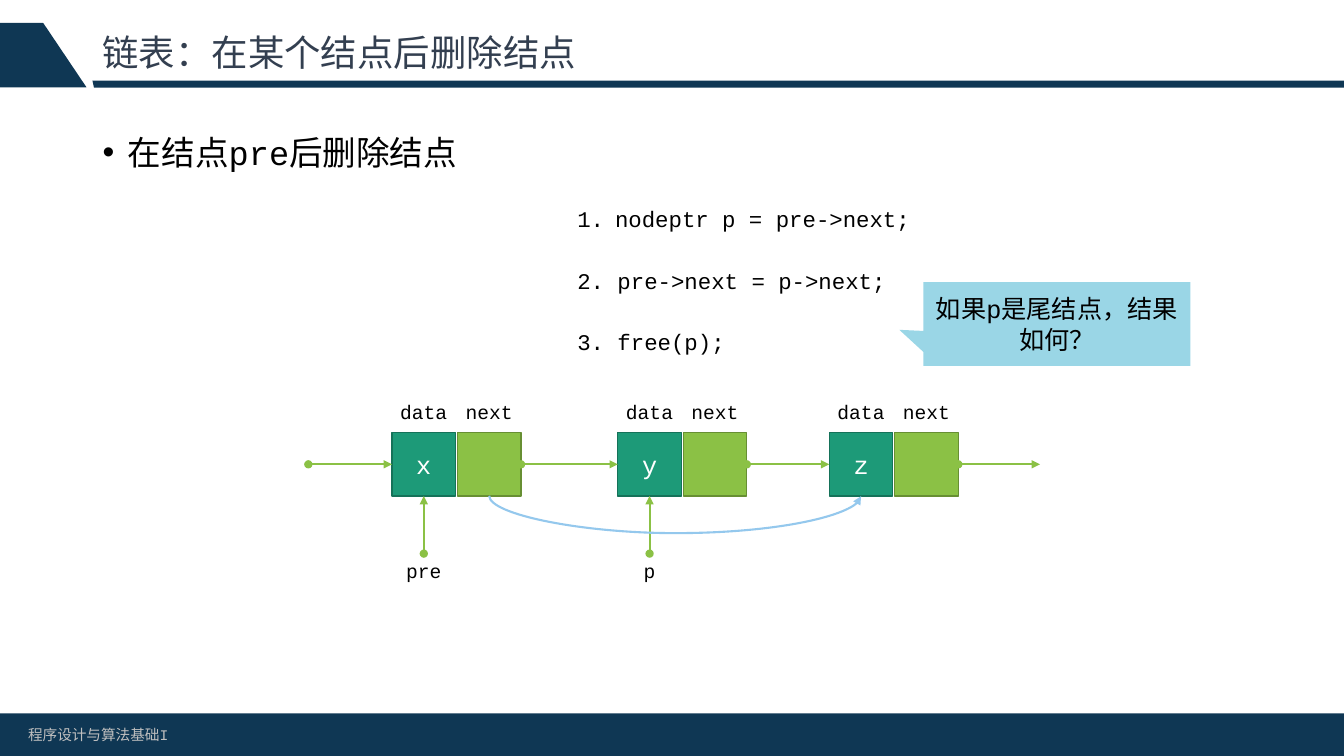
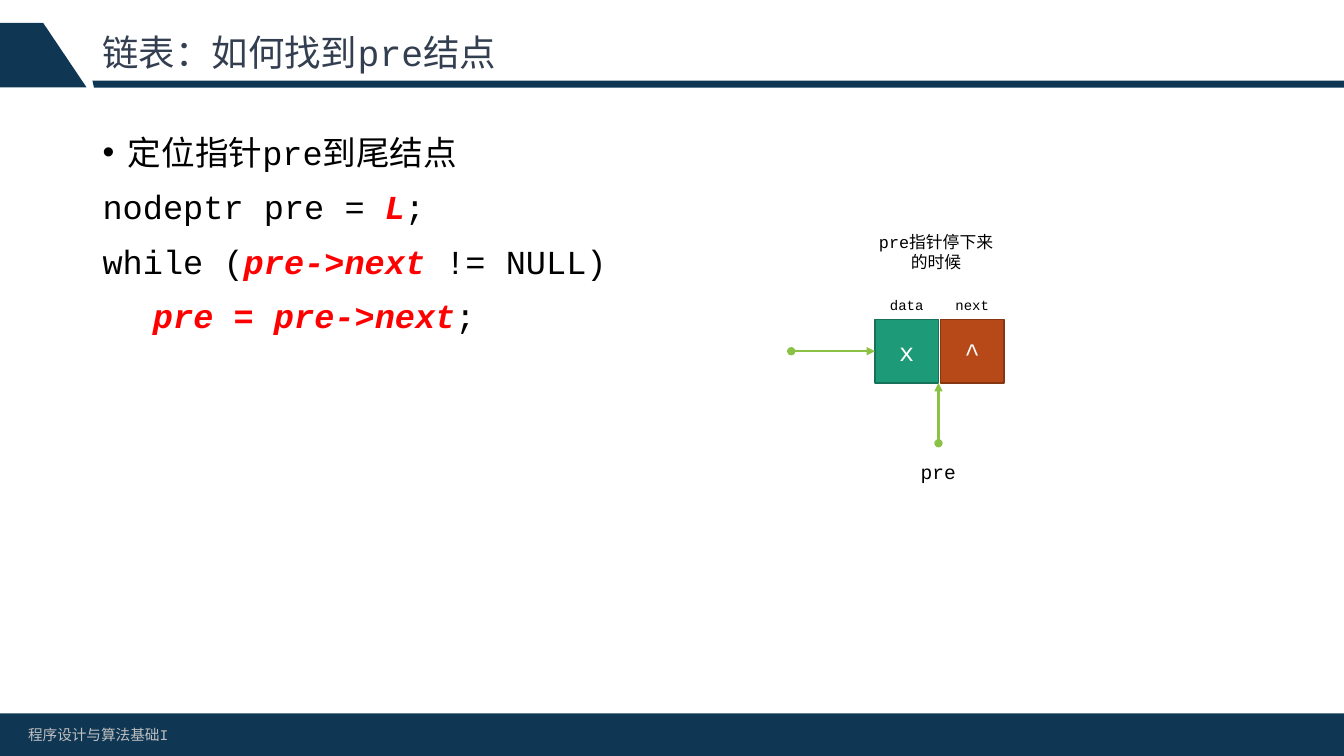
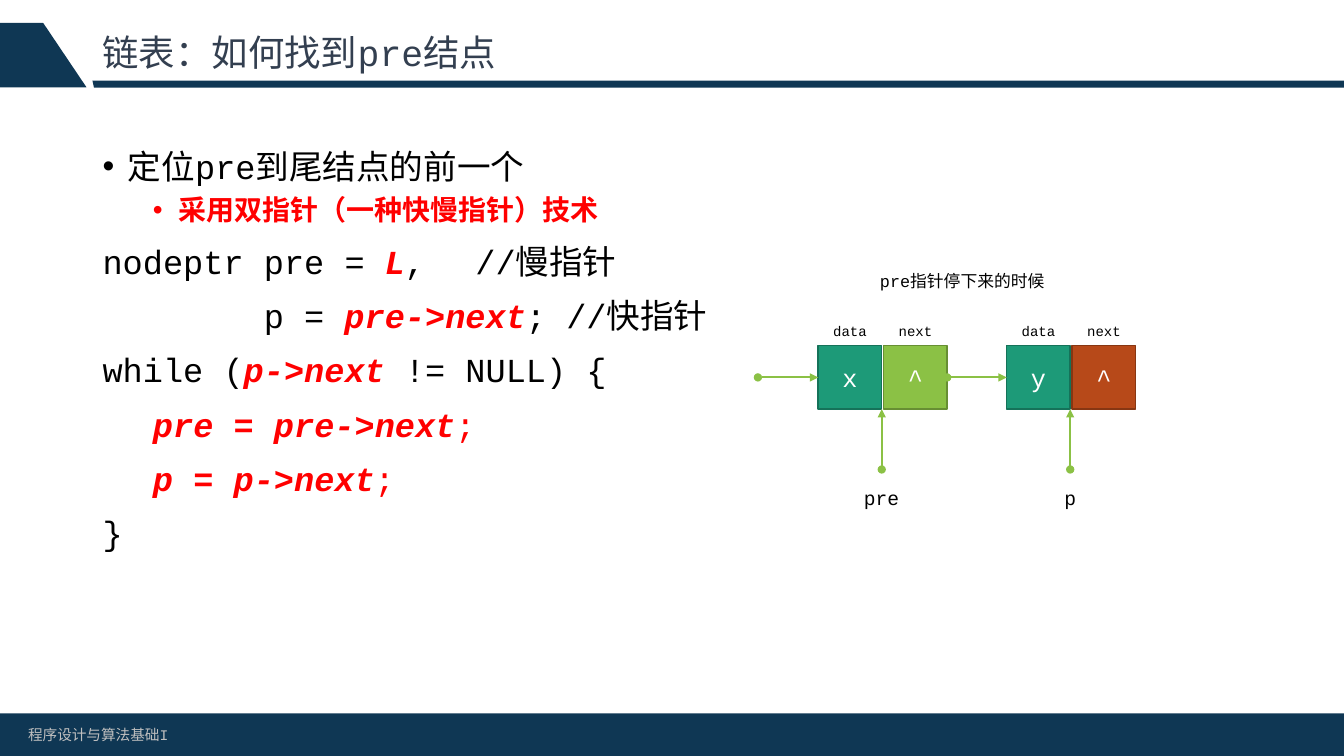
from dataclasses import dataclass
from typing import NamedTuple

from lxml.etree import SubElement
from pptx import Presentation
from pptx.dml.color import RGBColor
from pptx.enum.shapes import MSO_CONNECTOR, MSO_SHAPE
from pptx.enum.text import MSO_ANCHOR, MSO_AUTO_SIZE, PP_ALIGN
from pptx.oxml.ns import qn
from pptx.util import Cm, Pt

FONT = "Courier New"
NAVY, SLATE, GREY = "0F3754", "333F50", "BFBFBF"
BLACK, WHITE, RED = "000000", "FFFFFF", "FF0000"
TEAL, TEAL_EDGE = "1D9A78", "157259"
GREEN, GREEN_EDGE = "8BC145", "678F33"
RUST, RUST_EDGE = "B74919", "873612"
SKY, AQUA = "94C8ED", "36AFCE"

CELL = 1.6
NEXT_DX = 1.65
NODE_W = NEXT_DX + CELL
LABEL_W = 1.8
TAB = 2.54


class Run(NamedTuple):
    text: str
    color: str = BLACK
    bold: bool = False
    italic: bool = False


@dataclass
class Para:
    runs: list[Run]
    bullet: bool = False
    level: int = 0


@dataclass
class Node:
    x: float
    value: str
    link: str = ""
    last: bool = False


@dataclass
class Pointer:
    x: float
    name: str


def rgb(color: str) -> RGBColor:
    return RGBColor.from_string(color)


def key(text: str) -> Run:
    """Emphasised piece of code."""
    return Run(text, RED, True, True)


def add_run(p, run: Run, size: float) -> None:
    r = p.add_run()
    r.text = run.text
    f = r.font
    f.size, f.name = Pt(size), FONT
    f.bold, f.italic = run.bold, run.italic
    f.color.rgb = rgb(run.color)
    SubElement(r._r.get_or_add_rPr(), qn("a:ea"), typeface=FONT)


def place(sp, x: float, y: float, w: float, h: float) -> None:
    sp.left, sp.top, sp.width, sp.height = Cm(x), Cm(y), Cm(w), Cm(h)


def paint(sp, fill: str, edge: str = "") -> None:
    sp.shadow.inherit = False
    sp.fill.solid()
    sp.fill.fore_color.rgb = rgb(fill)
    if edge:
        sp.line.color.rgb = rgb(edge)
        sp.line.width = Pt(1)
    else:
        sp.line.fill.background()


def add_text(s, x: float, y: float, w: float, h: float, text: str, size: float,
             align=PP_ALIGN.CENTER, color: str = BLACK):
    sp = s.shapes.add_textbox(Cm(x), Cm(y), Cm(w), Cm(h))
    sp.text_frame.word_wrap = True
    p = sp.text_frame.paragraphs[0]
    p.alignment = align
    add_run(p, Run(text, color), size)
    return sp


def add_box(s, kind, x: float, y: float, w: float, h: float, fill: str,
            edge: str = "", text: str = "", color: str = WHITE):
    sp = s.shapes.add_shape(kind, Cm(x), Cm(y), Cm(w), Cm(h))
    paint(sp, fill, edge)
    if text:
        sp.text_frame.vertical_anchor = MSO_ANCHOR.MIDDLE
        p = sp.text_frame.paragraphs[0]
        p.alignment = PP_ALIGN.CENTER
        add_run(p, Run(text, color), 18)
    return sp


def add_polygon(s, points: list[tuple[float, float]], fill: str):
    start, *rest = [(Cm(x), Cm(y)) for x, y in points]
    builder = s.shapes.build_freeform(*start)
    builder.add_line_segments(rest, close=True)
    sp = builder.convert_to_shape()
    paint(sp, fill)
    return sp


def add_arrow(s, x1: float, y1: float, x2: float, y2: float, color: str = GREEN,
              kind=MSO_CONNECTOR.STRAIGHT, head: str = "oval"):
    c = s.shapes.add_connector(kind, Cm(x1), Cm(y1), Cm(x2), Cm(y2))
    c.line.color.rgb = rgb(color)
    c.line.width = Pt(1.5)
    ln = c.line._get_or_add_ln()
    SubElement(ln, qn("a:headEnd"), type=head)
    SubElement(ln, qn("a:tailEnd"), type="triangle")
    SubElement(c.element.spPr, qn("a:effectLst"))
    return c


def add_bypass(s, x1: float, x2: float, y: float, depth: float) -> None:
    """Curved arrow between two points of equal height, sagging by depth."""
    thin, span = 0.01, x2 - x1
    c = add_arrow(s, x1, y, x2, y, SKY, MSO_CONNECTOR.CURVE, "none")
    place(c, (x1 + x2 - thin) / 2, y - span / 2, thin, span)
    xfrm = c.element.spPr.find(qn("a:xfrm"))
    xfrm.set("rot", str(270 * 60000))
    xfrm.set("flipH", "1")
    guides = c.element.spPr.find(qn("a:prstGeom")).find(qn("a:avLst"))
    SubElement(guides, qn("a:gd"), name="adj1",
               fmla=f"val {round(depth / thin * 100000)}")


def add_node(s, node: Node, top: float, label_size: float, label_dy: float) -> None:
    fill, edge = (RUST, RUST_EDGE) if node.last else (GREEN, GREEN_EDGE)
    cells = [(0, node.value, "data", TEAL, TEAL_EDGE),
             (NEXT_DX, node.link, "next", fill, edge)]
    for dx, text, label, cell_fill, cell_edge in cells:
        x = node.x + dx
        add_box(s, MSO_SHAPE.RECTANGLE, x, top, CELL, CELL, cell_fill, cell_edge, text)
        add_text(s, x + (CELL - LABEL_W) / 2, top - label_dy, LABEL_W, 0.7,
                 label, label_size)


def add_list(s, nodes: list[Node], top: float, start: float, end: float = 0,
             label_size: float = 10, label_dy: float = 0.71) -> None:
    """Nodes joined by arrows, entered from start and left towards end if given."""
    for node in nodes:
        add_node(s, node, top, label_size, label_dy)
    mid = top + CELL / 2
    sources = [start] + [n.x + NODE_W for n in nodes]
    targets = [n.x for n in nodes] + ([end] if end else [])
    for x1, x2 in zip(sources, targets):
        add_arrow(s, x1, mid, x2, mid)


def add_pointers(s, pointers: list[Pointer], bottom: float, length: float = 1.52,
                 gap: float = 0.3) -> None:
    for ptr in pointers:
        add_arrow(s, ptr.x, bottom + length, ptr.x, bottom)
        add_text(s, ptr.x - LABEL_W / 2, bottom + length + gap, LABEL_W, 0.86,
                 ptr.name, 14)


def set_indent(p, left: float, hang: float) -> None:
    pPr = p._p.get_or_add_pPr()
    pPr.set("marL", str(Cm(left)))
    pPr.set("indent", str(Cm(-hang)))


def format_para(p, para: Para) -> None:
    p.level = para.level
    p.alignment = PP_ALIGN.JUSTIFY
    pPr = p._p.get_or_add_pPr()
    if para.bullet:
        set_indent(p, 0.64 + 1.27 * para.level, 0.64)
        SubElement(pPr, qn("a:buFont"), typeface="Arial")
        SubElement(pPr, qn("a:buChar"), char="•")
    else:
        set_indent(p, 0, 0)
        SubElement(pPr, qn("a:buNone"))
        tabs = SubElement(pPr, qn("a:tabLst"))
        for i in range(1, 5):
            SubElement(tabs, qn("a:tab"), pos=str(Cm(TAB * i)), algn="l")


def fill_body(s, paras: list[Para]) -> None:
    tf = s.placeholders[1].text_frame
    tf.auto_size = MSO_AUTO_SIZE.NONE
    for i, para in enumerate(paras):
        p = tf.add_paragraph() if i else tf.paragraphs[0]
        format_para(p, para)
        p.space_before = Pt((5 if para.level else 10) if i else 0)
        for run in para.runs:
            add_run(p, run, 20 if para.level else 24)


def new_slide(prs, title: str, paras: list[Para]):
    s = prs.slides.add_slide(prs.slide_layouts[1])
    tf = s.shapes.title.text_frame
    tf.auto_size = MSO_AUTO_SIZE.NONE
    tf.vertical_anchor = MSO_ANCHOR.MIDDLE
    p = tf.paragraphs[0]
    p.alignment = PP_ALIGN.LEFT
    p.line_spacing = 0.9
    add_run(p, Run(title, SLATE), 26)
    fill_body(s, paras)
    return s


def prepare_layout(layout) -> None:
    for ph in list(layout.placeholders):
        idx = ph.placeholder_format.idx
        if idx == 0:
            place(ph, 2.33, 0.58, 29.21, 1.62)
        elif idx == 1:
            place(ph, 2.33, 3.2, 29.21, 13.8)
        else:
            layout.shapes.element.remove(ph.element)


def move_frame_to_layout(s) -> None:
    """Draw the bands and footer with the slide's tools, then hand them to its layout."""
    frame = [
        add_polygon(s, [(2.33, 2.03), (33.87, 2.03), (33.87, 2.21), (2.37, 2.21)], NAVY),
        add_polygon(s, [(1.09, 0.58), (2.18, 2.2), (0, 2.2), (0, 0.58)], NAVY),
        add_box(s, MSO_SHAPE.RECTANGLE, 0, 17.98, 33.87, 1.07, NAVY),
        add_text(s, 0.46, 18.16, 10.97, 0.74, "程序设计与算法基础I", 10.5,
                 PP_ALIGN.LEFT, GREY),
    ]
    for sp in frame:
        s.slide_layout.shapes.element.append(sp.element)


def slide_delete(prs) -> None:
    s = new_slide(prs, "链表：在某个结点后删除结点",
                  [Para([Run("在结点pre后删除结点")], bullet=True)])
    move_frame_to_layout(s)

    steps = ["nodeptr p = pre->next;", "2. pre->next = p->next;", "3. free(p);"]
    for i, step in enumerate(steps):
        sp = add_text(s, 14.3, 5.05 + 1.55 * i, 17.42, 0.94, step, 16, PP_ALIGN.LEFT)
        if i == 0:
            p = sp.text_frame.paragraphs[0]
            set_indent(p, 0.95, 0.95)
            SubElement(p._p.get_or_add_pPr(), qn("a:buAutoNum"), type="arabicPeriod")

    top = 10.9
    x, y, z = nodes = [Node(9.88, "x"), Node(15.57, "y"), Node(20.9, "z")]
    half = CELL / 2
    add_list(s, nodes, top, 7.77, 26.21, label_size=14, label_dy=0.94)
    add_pointers(s, [Pointer(x.x + half, "pre"), Pointer(y.x + half, "p")],
                 top + CELL, length=1.45, gap=0)
    add_bypass(s, x.x + NEXT_DX + half, z.x + half, top + CELL, 0.94)

    sp = add_box(s, MSO_SHAPE.RECTANGULAR_CALLOUT, 23.27, 7.11, 6.73, 2.11, AQUA,
                 text="如果p是尾结点，结果如何？", color=BLACK)
    sp.adjustments[0], sp.adjustments[1] = -0.59, 0.07
    fill = sp.element.spPr.find(qn("a:solidFill"))
    SubElement(fill[0], qn("a:alpha"), val="50000")


def slide_find_tail(prs) -> None:
    s = new_slide(prs, "链表：如何找到pre结点", [
        Para([Run("定位指针pre到尾结点")], bullet=True),
        Para([Run("nodeptr pre = "), key("L"), Run(";")]),
        Para([Run("while ("), key("pre->next "), Run("!= NULL)")]),
        Para([key("\t"), key("pre = pre->next"), Run(";")]),
    ])
    top, x = 8.05, 22.05
    add_text(s, 21.89, 5.72, 3.4, 1.27, "pre指针停下来的时候", 12)
    add_list(s, [Node(x, "x", "^", last=True)], top, 19.94)
    add_pointers(s, [Pointer(x + CELL, "pre")], top + CELL)


def slide_find_before_tail(prs) -> None:
    s = new_slide(prs, "链表：如何找到pre结点", [
        Para([Run("定位pre到尾结点的前一个")], bullet=True),
        Para([Run("采用双指针（一种快慢指针）技术", RED, True)], bullet=True, level=1),
        Para([Run("nodeptr pre = "), key("L"), Run(", \t //慢指针")]),
        Para([Run("        p = "), key("pre->next"), Run("; //快指针")]),
        Para([Run("while ("), key("p->next "), Run("!= NULL) {")]),
        Para([Run("\t"), key("pre = pre->next"), Run("; ", RED)]),
        Para([key("\tp = p->next"), Run(";", RED)]),
        Para([Run("}")]),
    ])
    place(s.placeholders[1], 2.33, 3.54, 28.35, 13.48)
    top = 8.71
    nodes = [Node(20.62, "x", "^"), Node(25.37, "y", "^", last=True)]
    add_text(s, 20, 6.71, 8.5, 0.77, "pre指针停下来的时候", 12)
    add_list(s, nodes, top, 19.1)
    add_pointers(s, [Pointer(n.x + CELL, name) for n, name in zip(nodes, ("pre", "p"))],
                 top + CELL)


def main() -> None:
    prs = Presentation()
    prs.slide_width, prs.slide_height = Cm(33.87), Cm(19.05)
    prepare_layout(prs.slide_layouts[1])
    slide_delete(prs)
    slide_find_tail(prs)
    slide_find_before_tail(prs)
    prs.save("out.pptx")


if __name__ == "__main__":
    main()
